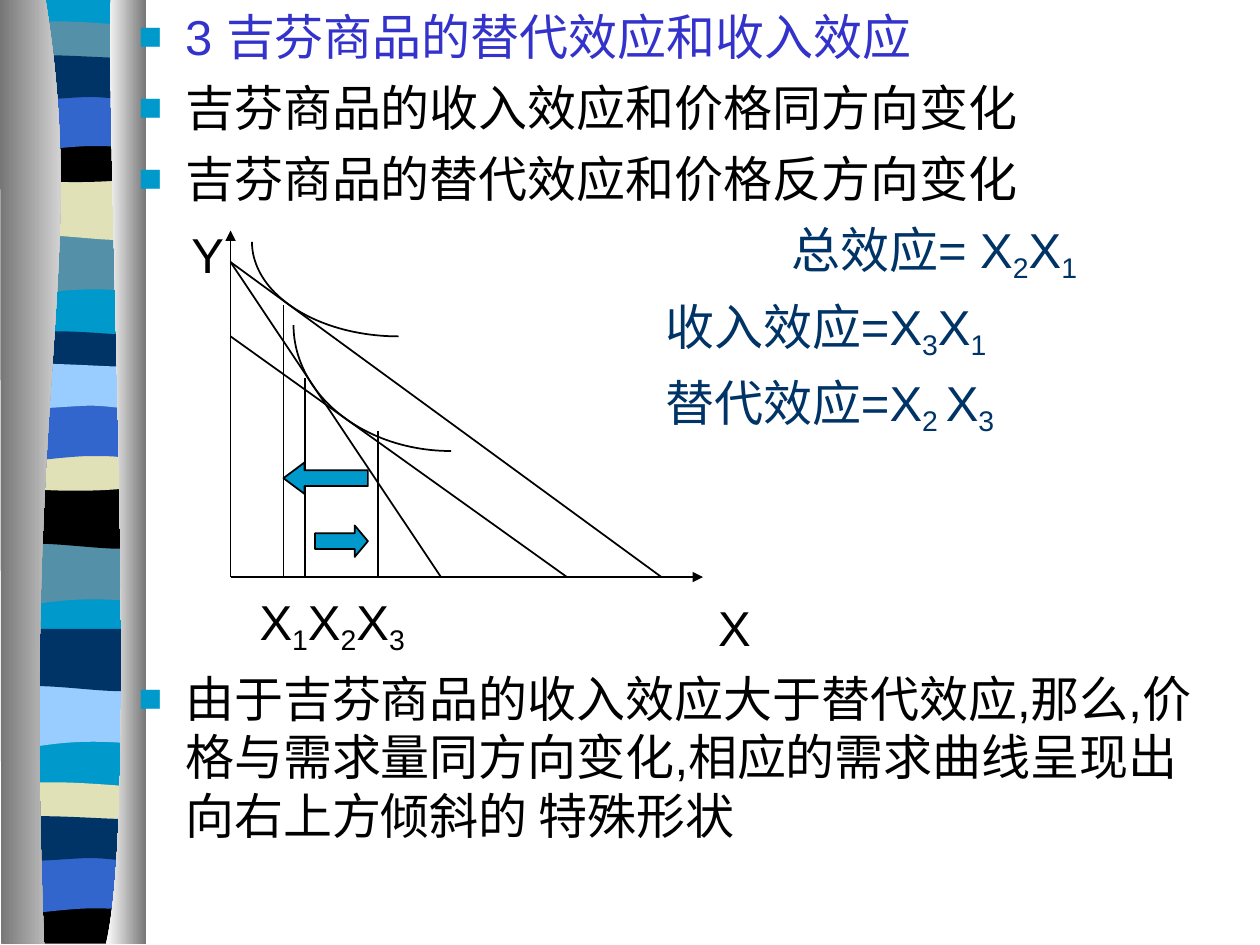
from pptx import Presentation
from pptx import util as u
from pptx.dml.color import RGBColor
from pptx.enum import shapes, text
from pptx.oxml.ns import qn
from lxml import etree

BLACK = RGBColor(0x00, 0x00, 0x00)
WHITE = RGBColor(0xFF, 0xFF, 0xFF)
GRAY = RGBColor(0x76, 0x76, 0x76)
CYAN = RGBColor(0x00, 0x99, 0xCC)
TEAL = RGBColor(0x54, 0x90, 0xA8)
CREAM = RGBColor(0xE1, 0xE1, 0xB7)
BLUE = RGBColor(0x33, 0x66, 0xCC)
NAVY = RGBColor(0x00, 0x33, 0x66)
SKY = RGBColor(0x99, 0xCC, 0xFF)
VIOLET = RGBColor(0x33, 0x33, 0xCC)

presentation = Presentation()
presentation.slide_width = u.Inches(10)
presentation.slide_height = u.Inches(7.5)
slide = presentation.slides.add_slide(presentation.slide_layouts[1])
slide.shapes.title.element.getparent().remove(slide.shapes.title.element)
body = slide.placeholders[1]


def add_outline(segments, top=0):
    points = [point for segment in segments for point in zip(segment[::2], segment[1::2])]
    places = [(u.Inches(x), u.Inches(top + y)) for x, y in points]
    builder = slide.shapes.build_freeform(*places[0])
    builder.add_line_segments(places[1:], close=True)
    shape = builder.convert_to_shape()
    steps = iter(list(shape.element.iter(qn("a:lnTo"))))
    for segment in segments[1:]:
        step = next(steps)
        if len(segment) == 6:
            step.tag = qn("a:cubicBezTo")
            for extra in (next(steps), next(steps)):
                step.append(extra[0])
                extra.getparent().remove(extra)
    shape.shadow.inherit = False
    shape.line.fill.background()
    return shape


def add_words(paragraph, words, color):
    for index, piece in enumerate(words.split("_")):
        if piece:
            run = paragraph.add_run()
            run.text = piece
            for name, value in {"name": "Arial", "size": u.Pt(28)}.items():
                setattr(run.font, name, value)
            run.font.color.rgb = color
            if index % 2:
                run.font._element.set("baseline", "-20000")


ribbon = add_outline([(0.06, -0.01), (1.14, -0.01), (1.14, 7.47), (0.06, 7.47)])
ribbon.fill.solid()
ribbon.fill.fore_color.rgb = CYAN

bands = [
    ([(1.14, 0), (1.14, 0.47), (0.39, 0.39, 0.24, 0.55, 0.06, 0.47), (0.06, 0)],
     [(1.85, TEAL), (4.31, TEAL), (5.44, SKY)]),
    ([(1.14, 0), (1.14, 0.47), (0.96, 0.55, 0.39, 0.41, 0.06, 0.47), (0.06, 0)],
     [(1.41, CREAM), (3.86, BLACK), (4.99, NAVY)]),
    ([(1.14, 0), (1.14, 0.24), (0.96, 0.28, 0.24, 0.28, 0.06, 0.24), (0.06, 0),
      (0.12, -0.05, 0.29, -0.04, 0.47, -0.04), (0.65, -0.04, 1, -0.01, 1.14, 0)],
     [(0.21, TEAL), (2.67, NAVY), (6.25, CREAM)]),
    ([(1.14, 0), (1.14, 0.32), (0.96, 0.38, 0.24, 0.38, 0.06, 0.32), (0.06, 0),
      (0.72, 0.05, 0.91, 0, 1.14, 0)],
     [(1.08, BLACK), (3.53, CREAM)]),
    ([(1.14, 0), (1.14, 0.37), (0.06, 0.37), (0.06, 0), (0.72, 0.05, 0.91, 0, 1.14, 0)],
     [(7.12, BLACK)]),
    ([(1.14, 0), (1.14, 0.47), (0.97, 0.42, 0.9, 0.42, 0.72, 0.42),
      (0.54, 0.42, 0.22, 0.47, 0.06, 0.47), (0.06, 0)],
     [(0.74, BLUE), (3.2, BLUE), (6.79, BLUE)]),
    ([(1.14, 0), (1.14, 0.31), (1.07, 0.36, 0.9, 0.31, 0.72, 0.31),
      (0.54, 0.31, 0.17, 0.36, 0.06, 0.31), (0.06, 0),
      (0.21, -0.05, 0.79, 0, 0.97, 0), (1.15, 0, 1.1, 0, 1.14, 0)],
     [(0.46, NAVY), (2.91, SKY), (6.5, NAVY)]),
]
for outline, placements in bands:
    for top, color in placements:
        band = add_outline(outline, top)
        band.fill.solid()
        band.fill.fore_color.rgb = color

sides = [
    ([(0.36, -0.01), (0.71, 2.16, 0.17, 2.96, 0.35, 7.49), (0.01, 7.49), (0, -0.01)],
     (GRAY, WHITE)),
    ([(0.88, -0.01), (0.84, 1.25, 1.11, 6.46, 0.84, 7.49), (1.16, 7.49), (1.16, 0)],
     (WHITE, GRAY)),
]
for outline, colors in sides:
    side = add_outline(outline)
    side.fill.gradient()
    side.fill.gradient_angle = 0
    for stop, position, color in zip(side.fill.gradient_stops, (0, 1), colors):
        stop.position = position
        stop.color.rgb = color

slide.shapes.element.append(body.element)
body_format = {"left": 1, "top": 0, "width": 8.83, "height": 7.5}
for name, value in body_format.items():
    setattr(body, name, u.Inches(value))
frame_format = {"word_wrap": True, "auto_size": text.MSO_AUTO_SIZE.NONE,
                "vertical_anchor": text.MSO_ANCHOR.TOP,
                "margin_left": u.Inches(0.1), "margin_right": u.Inches(0.1),
                "margin_top": u.Inches(0.05), "margin_bottom": u.Inches(0.05)}
for name, value in frame_format.items():
    setattr(body.text_frame, name, value)

rows = [
    (True, 0.37, 0, "3\u2002吉芬商品的替代效应和收入效应".replace("\u2002", " "), VIOLET),
    (True, 0.37, 7, "吉芬商品的收入效应和价格同方向变化", BLACK),
    (True, 0.37, 7, "吉芬商品的替代效应和价格反方向变化", BLACK),
    (False, 5.18, 7, "总效应= X_2_X_1", NAVY),
    (False, 4.18, 7, "收入效应=X_3_X_1", NAVY),
    (False, 4.18, 7, "替代效应=X_2 _X_3", NAVY),
    (False, 0.96, 88, "X_1_X_2_X_3", BLACK),
    (True, 0.37, 7, "由于吉芬商品的收入效应大于替代效应,那么,价格与需求量同方向变化,"
                    "相应的需求曲线呈现出向右上方倾斜的 特殊形状", BLACK),
]
for index, (bulleted, margin, space, words, color) in enumerate(rows):
    paragraph = body.text_frame.add_paragraph() if index else body.text_frame.paragraphs[0]
    properties = paragraph._p.get_or_add_pPr()
    properties.set("marL", str(u.Inches(margin)))
    properties.set("indent", str(u.Inches(-margin if bulleted else 0)))
    if bulleted:
        bullet_color = etree.SubElement(properties, qn("a:buClr"))
        etree.SubElement(bullet_color, qn("a:srgbClr"), val=str(CYAN))
        etree.SubElement(properties, qn("a:buSzPct"), val="80000")
        etree.SubElement(properties, qn("a:buFont"), typeface="Arial")
        etree.SubElement(properties, qn("a:buChar"), char="■")
    else:
        etree.SubElement(properties, qn("a:buNone"))
    paragraph.space_before = u.Pt(space)
    add_words(paragraph, words, color)

for label, left, top in [("Y", 1.52, 1.78), ("X", 5.7, 4.74)]:
    box = slide.shapes.add_textbox(*[u.Inches(value) for value in (left, top, 0.3, 0.45)])
    for side_name in ("left", "right", "top", "bottom"):
        setattr(box.text_frame, f"margin_{side_name}", 0)
    add_words(box.text_frame.paragraphs[0], label, BLACK)

origin = (1.83, 4.58)
lines = [
    (origin, (1.83, 1.83), True),
    (origin, (5.58, 4.58), True),
    ((1.83, 2.08), (5.25, 4.58), False),
    ((1.83, 2.08), (3.5, 4.58), False),
    ((1.83, 2.67), (4.5, 4.58), False),
    ((2.25, 2.42), (2.25, 4.58), False),
    ((2.42, 3), (2.42, 4.58), False),
    ((3, 3.42), (3, 4.58), False),
]
for start, end, is_axis in lines:
    line = slide.shapes.add_connector(shapes.MSO_CONNECTOR.STRAIGHT,
                                      *[u.Inches(value) for value in start + end])
    line.line.color.rgb = BLACK
    line.line.width = u.Pt(1)
    if is_axis:
        etree.SubElement(line.line._get_or_add_ln(), qn("a:tailEnd"), type="triangle")
    etree.SubElement(line.element.spPr, qn("a:effectLst"))

figures = [
    (shapes.MSO_SHAPE.ARC, (2, 1.17, 2.33, 1.5), (54, 108), None),
    (shapes.MSO_SHAPE.ARC, (2.33, 1.58, 2.5, 2), (54, 108), None),
    (shapes.MSO_SHAPE.RIGHT_ARROW, (2.5, 4.17, 0.42, 0.25), (0.5, 0.42), CYAN),
    (shapes.MSO_SHAPE.LEFT_ARROW, (2.25, 3.67, 0.67, 0.25), (0.5, 0.67), CYAN),
]
for kind, box, adjustments, color in figures:
    shape = slide.shapes.add_shape(kind, *[u.Inches(value) for value in box])
    for index, value in enumerate(adjustments):
        shape.adjustments[index] = value
    shape.shadow.inherit = False
    shape.line.color.rgb = BLACK
    shape.line.width = u.Pt(1)
    if color is None:
        shape.fill.background()
    else:
        shape.fill.solid()
        shape.fill.fore_color.rgb = color

presentation.save("out.pptx")
